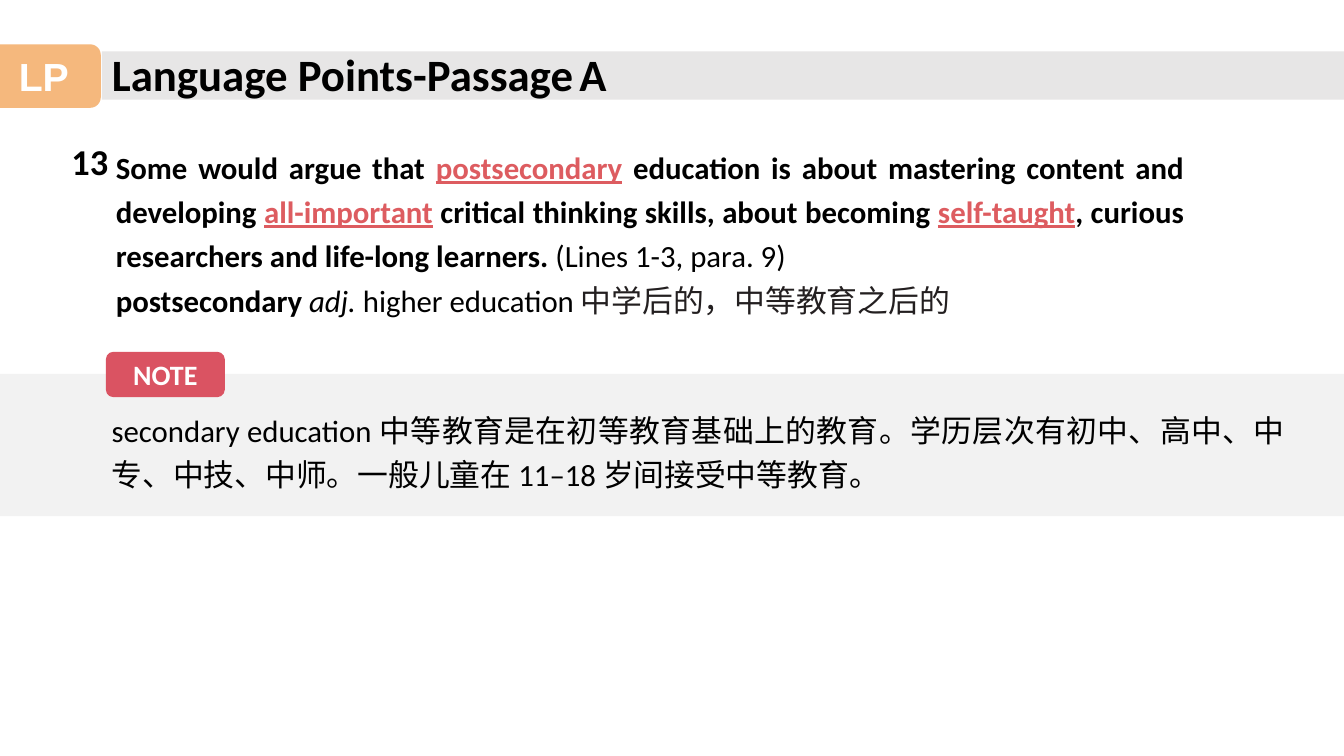
from lxml import etree
from pptx import Presentation
from pptx.dml.color import RGBColor
from pptx.enum import shapes, text
from pptx.oxml import ns
from pptx.util import Inches, Pt

COLORS = {
    "black": "000000", "white": "FFFFFF", "bar": "E7E6E6", "band": "F2F2F2",
    "orange": "F19B48", "red": "DA5362", "keyword": "DD5C60", "gloss": "231F20",
}
CJK_FONT = "Noto Sans CJK SC"


def add_block(kind, box, color, label="", size=20, font="Calibri"):
    shape = slide.shapes.add_shape(kind, *map(Inches, box))
    shape.shadow.inherit = False
    shape.fill.solid()
    shape.fill.fore_color.rgb = RGBColor.from_string(COLORS[color])
    shape.line.fill.background()
    if label:
        shape.text_frame.vertical_anchor = text.MSO_ANCHOR.MIDDLE
        shape.text_frame.word_wrap = False
        add_runs(shape.text_frame.paragraphs[0], [(label, {})], size, "white",
                 bold=True, align=text.PP_ALIGN.CENTER, font=font)
    return shape


def add_runs(paragraph, runs, size, color="black", bold=False,
             align=text.PP_ALIGN.LEFT, font="Calibri"):
    paragraph.alignment = align
    paragraph.font.size = Pt(size)
    paragraph.font.name = font
    for words, changes in runs:
        run = paragraph.add_run()
        run.text = words
        run.font.size = Pt(changes.get("size", size))
        run.font.name = font
        run.font.bold = changes.get("bold", bold)
        run.font.italic = changes.get("italic", False)
        run.font.underline = changes.get("underline", False)
        run.font.color.rgb = RGBColor.from_string(COLORS[changes.get("color", color)])
        east_asian = etree.SubElement(run.font._element, ns.qn("a:ea"))
        east_asian.set("typeface", CJK_FONT)


presentation = Presentation()
presentation.slide_width = Inches(13.33)
presentation.slide_height = Inches(7.5)
slide = presentation.slides.add_slide(presentation.slide_layouts[5])

title = slide.shapes.title
title.left, title.top, title.width, title.height = map(Inches, (1.01, 0.41, 5.48, 0.64))
title.text_frame.vertical_anchor = text.MSO_ANCHOR.TOP
title.text_frame.auto_size = text.MSO_AUTO_SIZE.NONE
add_runs(title.text_frame.paragraphs[0],
         [("Language Points-Passage", {}), (" ", {"size": 18, "bold": False}), ("A", {})],
         32, bold=True)

title_bar = add_block(shapes.MSO_SHAPE.RECTANGLE, (1.01, 0.51, 12.32, 0.48), "bar")
title_bar.element.addnext(title.element)

badge = add_block(shapes.MSO_SHAPE.ROUNDED_RECTANGLE, (-0.13, 0.44, 1.13, 0.63),
                  "orange", "LP", 28, "Arial")
badge_color = badge.element.spPr.find(ns.qn("a:solidFill"))[0]
etree.SubElement(badge_color, ns.qn("a:alpha")).set("val", "71000")

add_block(shapes.MSO_SHAPE.RECTANGLE, (0, 3.71, 13.33, 1.41), "band")
add_block(shapes.MSO_SHAPE.ROUNDED_RECTANGLE, (1.05, 3.49, 1.18, 0.45), "red", "NOTE")

keyword = {"color": "keyword", "underline": True}
sentence = [
    ("Some would argue that ", {}),
    ("postsecondary", keyword),
    (" education is about mastering content and developing ", {}),
    ("all-important", keyword),
    (" critical thinking skills, about becoming ", {}),
    ("self-taught", keyword),
    (", curious researchers and life-long learners. ", {}),
    ("(Lines 1-3, para. 9)", {"bold": False}),
]
definition = [
    ("postsecondary ", {}),
    ("adj.", {"bold": False, "italic": True}),
    (" higher education ", {"bold": False}),
    ("中学后的，中等教育之后的", {"bold": False, "color": "gloss"}),
]
note = [("secondary education 中等教育是在初等教育基础上的教育。学历层次有初中、高中、中专、"
         "中技、中师。一般儿童在 11–18 岁间接受中等教育。", {"bold": False})]

text_boxes = [
    ((0.61, 1.33, 0.63, 0.54), [[("13", {})]], 26, text.PP_ALIGN.LEFT, 1.0),
    ((1.05, 1.35, 10.79, 1.84), [sentence, definition], 22, text.PP_ALIGN.JUSTIFY, 1.2),
    ((1.01, 3.96, 11.84, 0.95), [note], 22, text.PP_ALIGN.JUSTIFY, 1.2),
]
for box, paragraphs, size, align, spacing in text_boxes:
    frame = slide.shapes.add_textbox(*map(Inches, box)).text_frame
    frame.word_wrap = True
    for index, runs in enumerate(paragraphs):
        paragraph = frame.add_paragraph() if index else frame.paragraphs[0]
        paragraph.line_spacing = spacing
        add_runs(paragraph, runs, size, bold=True, align=align)

presentation.save("out.pptx")
